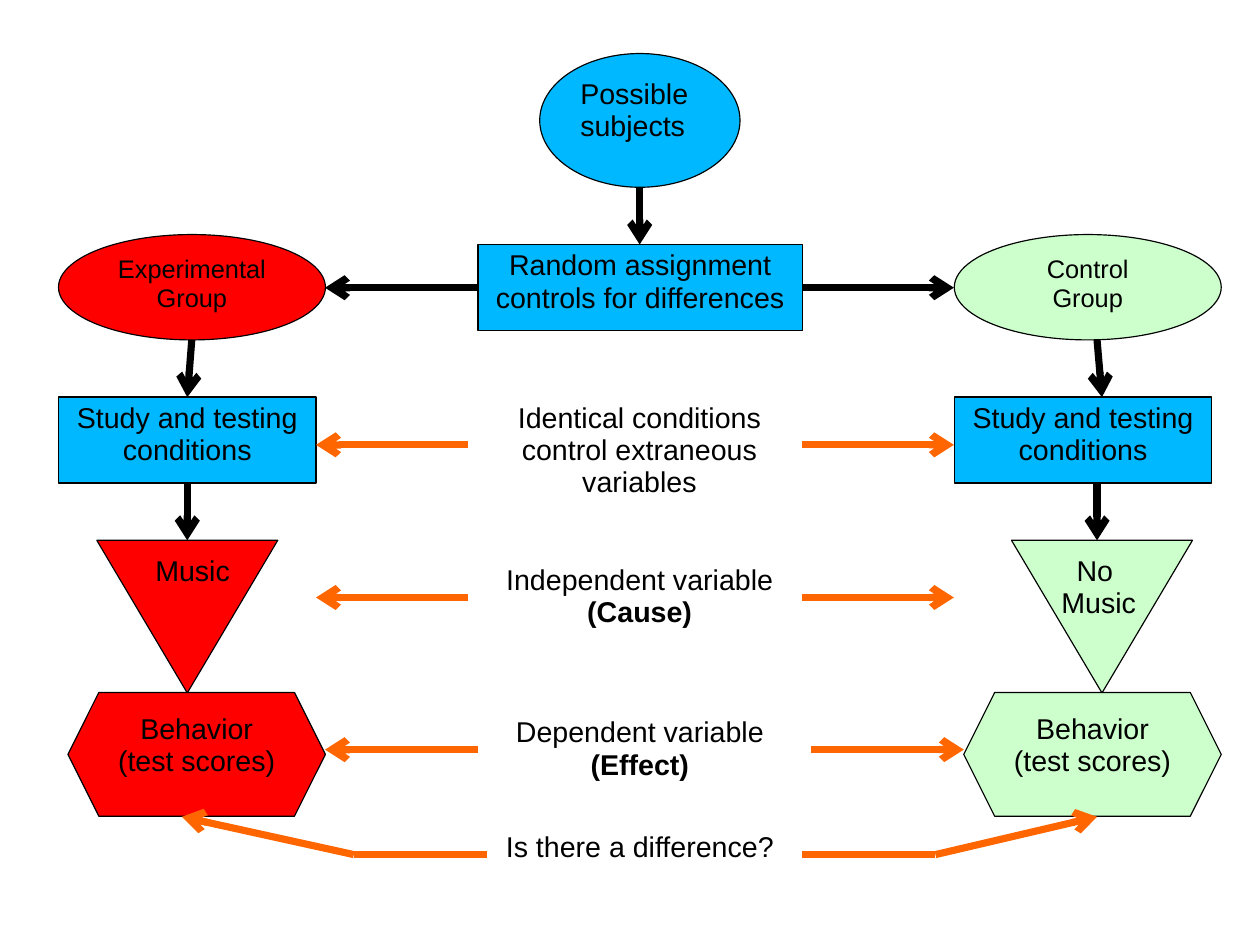
"""Build a flow chart of a controlled experiment on music and test scores."""
from lxml import etree
from pptx import Presentation
from pptx.dml.color import RGBColor
from pptx.enum.shapes import MSO_CONNECTOR, MSO_SHAPE
from pptx.enum.text import MSO_ANCHOR, PP_ALIGN
from pptx.oxml.ns import qn
from pptx.util import Cm, Pt

BLACK = RGBColor(0x00, 0x00, 0x00)
WHITE = RGBColor(0xFF, 0xFF, 0xFF)
BLUE = RGBColor(0x00, 0xB8, 0xFF)
RED = RGBColor(0xFF, 0x00, 0x00)
GREEN = RGBColor(0xCC, 0xFF, 0xCC)
ORANGE = RGBColor(0xFF, 0x66, 0x00)
OVAL, RECT = MSO_SHAPE.OVAL, MSO_SHAPE.RECTANGLE
TRIANGLE, HEXAGON = MSO_SHAPE.ISOSCELES_TRIANGLE, MSO_SHAPE.HEXAGON
STRAIGHT = MSO_CONNECTOR.STRAIGHT
TOP, LEFT, CENTER = MSO_ANCHOR.TOP, PP_ALIGN.LEFT, PP_ALIGN.CENTER

prs = Presentation()
prs.slide_width, prs.slide_height = Cm(27.99), Cm(21.01)
s = prs.slides.add_slide(prs.slide_layouts[6])


def add_box(text, x, y, w, h, kind=None, fill=WHITE, line=BLACK, width=0.75,
            size=18, align=CENTER, wrap=True, bold_last=False, rotation=0):
    place = Cm(x), Cm(y), Cm(w), Cm(h)
    if kind is None:
        sp = s.shapes.add_textbox(*place)
    else:
        sp = s.shapes.add_shape(kind, *place)
        sp.shadow.inherit = False
        sp.fill.solid()
        sp.fill.fore_color.rgb = fill
        sp.line.color.rgb = line
        sp.line.width = Pt(width)
        sp.rotation = rotation
    if not text:
        return
    tf = sp.text_frame
    tf.word_wrap = wrap
    tf.vertical_anchor = TOP
    lines = text.split("\n")
    for i, words in enumerate(lines):
        p = tf.add_paragraph() if i else tf.paragraphs[0]
        p.alignment = align
        p.line_spacing = 0.94
        r = p.add_run()
        r.text = words
        r.font.name = "Arial"
        r.font.size = Pt(size)
        r.font.color.rgb = BLACK
        r.font.bold = bold_last and i == len(lines) - 1


def add_line(x1, y1, x2, y2, color=BLACK, arrow=True):
    c = s.shapes.add_connector(STRAIGHT, Cm(x1), Cm(y1), Cm(x2), Cm(y2))
    c.line.color.rgb = color
    c.line.width = Pt(4.5)
    if arrow:
        etree.SubElement(c.line._get_or_add_ln(), qn("a:tailEnd"), type="arrow")
    etree.SubElement(c._element.spPr, qn("a:effectLst"))


add_box("Possible subjects", 11.99, 1.19, 4.45, 2.97, OVAL, BLUE, align=LEFT)
add_box("Random assignment controls for differences",
        10.62, 5.43, 7.2, 1.91, RECT, BLUE)

for group, color, dx, triangle_x in (
        ("Experimental Group", RED, 0, 2.15),
        ("Control\nGroup", GREEN, 19.9, 22.47)):
    add_box(group, 1.3 + dx, 5.21, 5.93, 2.34, OVAL, color, size=16)
    add_box("Study and testing conditions", 1.3 + dx, 8.82, 5.72, 1.91, RECT, BLUE)
    add_box("", triangle_x, 12, 4.02, 3.39, TRIANGLE, color, rotation=180)
    add_box("Behavior\n(test scores)", 1.51 + dx, 15.38, 5.72, 2.75, HEXAGON, color)

add_box("Music", 3.2, 12.21, 2.18, 0.99, align=LEFT, wrap=False)
add_box("No \nMusic", 23.32, 12.21, 2.18, 1.7, wrap=False)

for text, x, y, w, h, bold_last in (
        ("Identical conditions\ncontrol extraneous\nvariables",
         11.22, 8.82, 5.97, 2.44, False),
        ("Independent variable\n(Cause)", 10.96, 12.42, 6.5, 1.7, True),
        ("Dependent variable\n(Effect)", 11.18, 15.8, 6.07, 1.7, True),
        ("Is there a difference?", 10.95, 18.35, 6.53, 0.99, False)):
    add_box(text, x, y, w, h, RECT, line=WHITE, width=2, wrap=False,
            bold_last=bold_last)

for x1, y1, x2, y2 in (
        (14.21, 4.16, 14.21, 5.43),
        (10.62, 6.39, 7.22, 6.39), (17.81, 6.39, 21.19, 6.39),
        (4.26, 7.55, 4.16, 8.82), (24.37, 7.55, 24.48, 8.82),
        (4.16, 10.73, 4.16, 12), (24.37, 10.73, 24.37, 12)):
    add_line(x1, y1, x2, y2)

for y, left_from, left_to, right_from, right_to in (
        (9.88, 10.39, 7.02, 17.81, 21.19),
        (13.27, 10.39, 7.02, 17.81, 21.19),
        (16.65, 10.62, 7.22, 18.02, 21.41)):
    add_line(left_from, y, left_to, y, ORANGE)
    add_line(right_from, y, right_to, y, ORANGE)

for start, bend, end in ((10.82, 7.86, 4.04), (17.81, 20.78, 24.37)):
    add_line(start, 18.98, bend, 18.98, ORANGE, arrow=False)
    add_line(bend, 18.98, end, 18.14, ORANGE)

prs.save("out.pptx")
